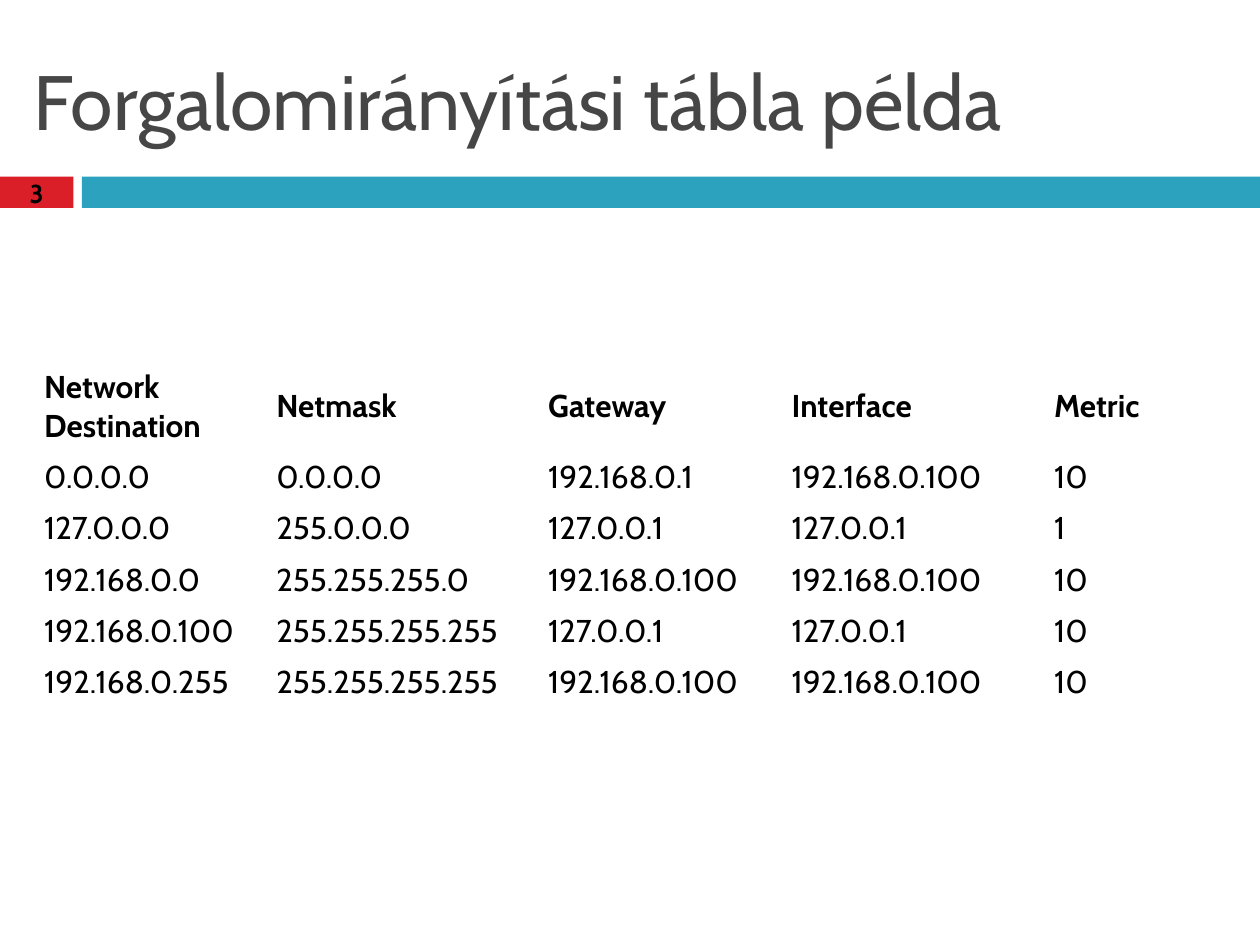
"""Build a slide showing an example routing table."""
from typing import NamedTuple

from pptx import Presentation
from pptx.dml.color import RGBColor
from pptx.enum import shapes, text
from pptx.util import Cm, Pt

FONT = "Cabin"
BLACK, WHITE, GREY, RED, TEAL = "000000", "FFFFFF", "464646", "DA1F28", "2DA2BF"
COLUMN_WIDTHS = (4.68, 5.48, 4.91, 5.29, 2.95)
HEADER_HEIGHT, ROUTE_HEIGHT = 1.78, 1.03


class Box(NamedTuple):
    left: float
    top: float
    width: float
    height: float

    def lengths(self) -> list:
        return [Cm(value) for value in self]


class Band(NamedTuple):
    box: Box
    color: str


class Route(NamedTuple):
    destination: str
    netmask: str
    gateway: str
    interface: str
    metric: str


BANDS = (
    Band(Box(0, 3.56, 1.48, 0.63), RED),
    Band(Box(1.65, 3.56, 23.75, 0.63), TEAL),
)
ROUTES = (
    Route("Network Destination", "Netmask", "Gateway", "Interface", "Metric"),
    Route("0.0.0.0", "0.0.0.0", "192.168.0.1", "192.168.0.100", "10"),
    Route("127.0.0.0", "255.0.0.0", "127.0.0.1", "127.0.0.1", "1"),
    Route("192.168.0.0", "255.255.255.0", "192.168.0.100", "192.168.0.100", "10"),
    Route("192.168.0.100", "255.255.255.255", "127.0.0.1", "127.0.0.1", "10"),
    Route("192.168.0.255", "255.255.255.255", "192.168.0.100", "192.168.0.100", "10"),
)


def rgb(value: str) -> RGBColor:
    return RGBColor.from_string(value)


def write(frame, wording: str, size: float, color: str, bold: bool = False,
          align=text.PP_ALIGN.LEFT) -> None:
    frame.text = wording
    frame.word_wrap = True
    frame.vertical_anchor = text.MSO_ANCHOR.MIDDLE
    paragraph = frame.paragraphs[0]
    paragraph.alignment = align
    font = paragraph.runs[0].font
    font.name, font.size, font.bold = FONT, Pt(size), bold
    font.color.rgb = rgb(color)


def draw_band(slide, band: Band) -> None:
    bar = slide.shapes.add_shape(shapes.MSO_SHAPE.RECTANGLE, *band.box.lengths())
    bar.shadow.inherit = False
    bar.fill.solid()
    bar.fill.fore_color.rgb = rgb(band.color)
    bar.line.fill.background()


def draw_title(slide, wording: str, box: Box) -> None:
    title = slide.shapes.title
    title.left, title.top, title.width, title.height = box.lengths()
    write(title.text_frame, wording, 44, GREY)


def draw_routes(slide, routes: tuple[Route, ...], left: float, top: float) -> None:
    heights = [HEADER_HEIGHT] + [ROUTE_HEIGHT] * (len(routes) - 1)
    box = Box(left, top, sum(COLUMN_WIDTHS), sum(heights))
    table = slide.shapes.add_table(
        len(routes), len(COLUMN_WIDTHS), *box.lengths()).table
    table.first_row = table.horz_banding = False
    for column, width in zip(table.columns, COLUMN_WIDTHS):
        column.width = Cm(width)
    for index, (row, height, route) in enumerate(zip(table.rows, heights, routes)):
        row.height = Cm(height)
        for cell, wording in zip(row.cells, route):
            cell.fill.solid()
            cell.fill.fore_color.rgb = rgb(WHITE)
            cell.margin_left = cell.margin_right = Cm(0.18)
            cell.margin_top = cell.margin_bottom = Cm(0.13)
            cell.vertical_anchor = text.MSO_ANCHOR.MIDDLE
            write(cell.text_frame, wording, 18, BLACK, bold=index == 0)


def draw_page_number(slide, number: str, box: Box) -> None:
    page_number = slide.shapes.add_textbox(*box.lengths())
    write(page_number.text_frame, number, 14.8, BLACK, True, text.PP_ALIGN.CENTER)


def main() -> None:
    deck = Presentation()
    deck.slide_width, deck.slide_height = Cm(25.4), Cm(19.05)
    slide = deck.slides.add_slide(deck.slide_layouts.get_by_name("Title Only"))
    for band in BANDS:
        draw_band(slide, band)
    draw_title(slide, "Forgalomirányítási tábla példa", Box(0.43, 0.64, 24.56, 2.74))
    draw_routes(slide, ROUTES, 0.71, 7.29)
    draw_page_number(slide, "3", Box(0, 3.48, 1.48, 0.84))
    deck.save("out.pptx")


if __name__ == "__main__":
    main()
